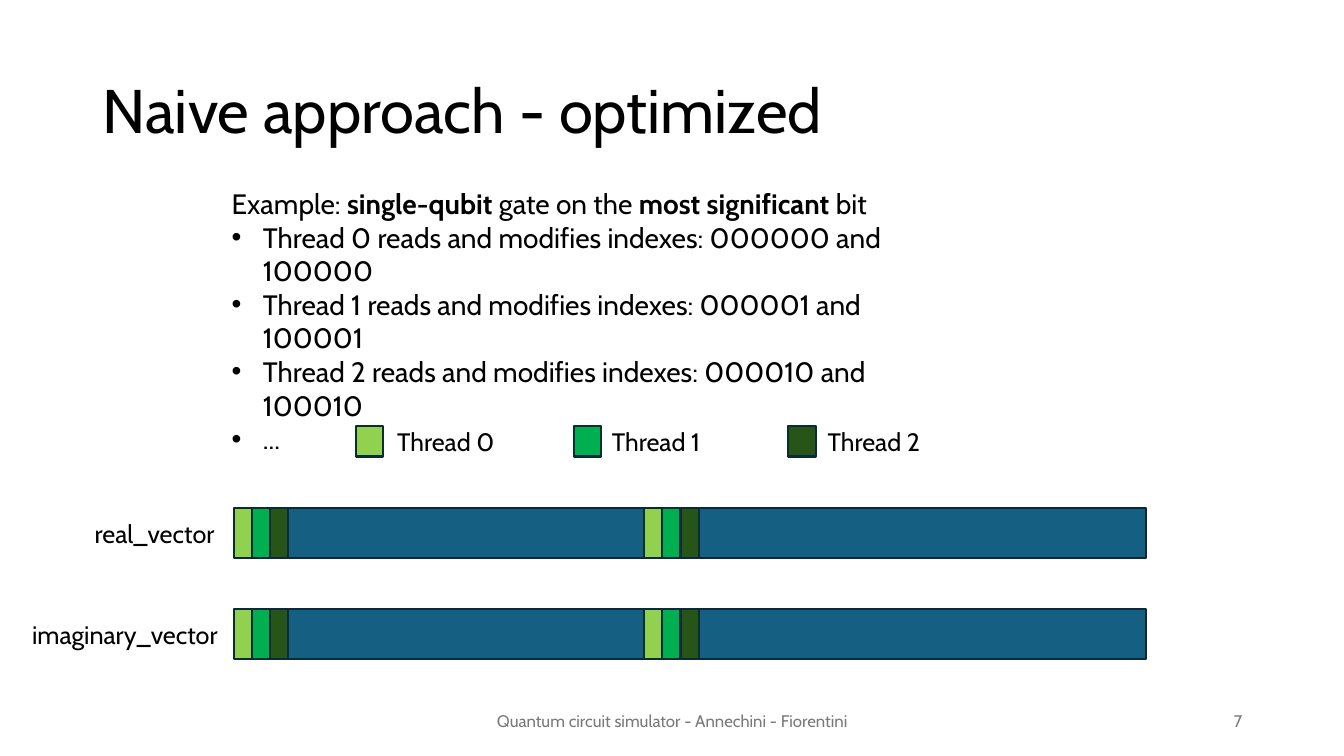
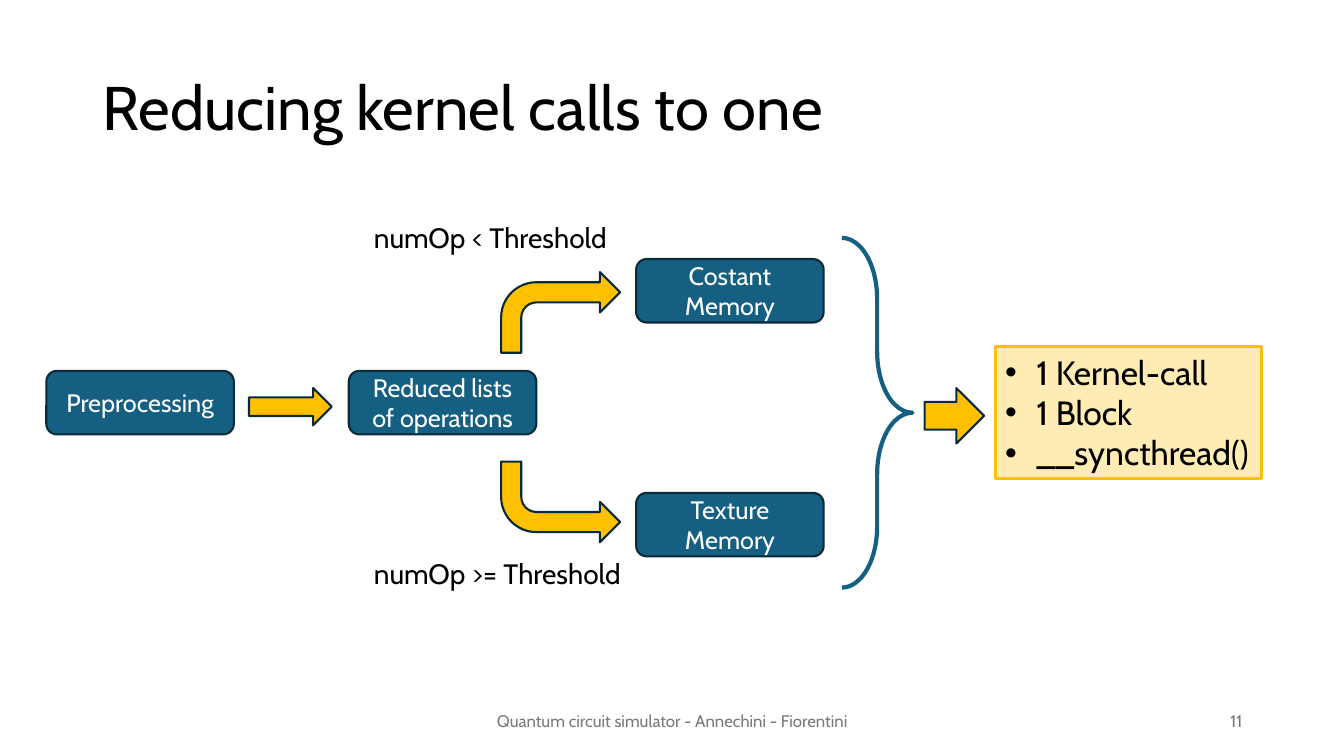
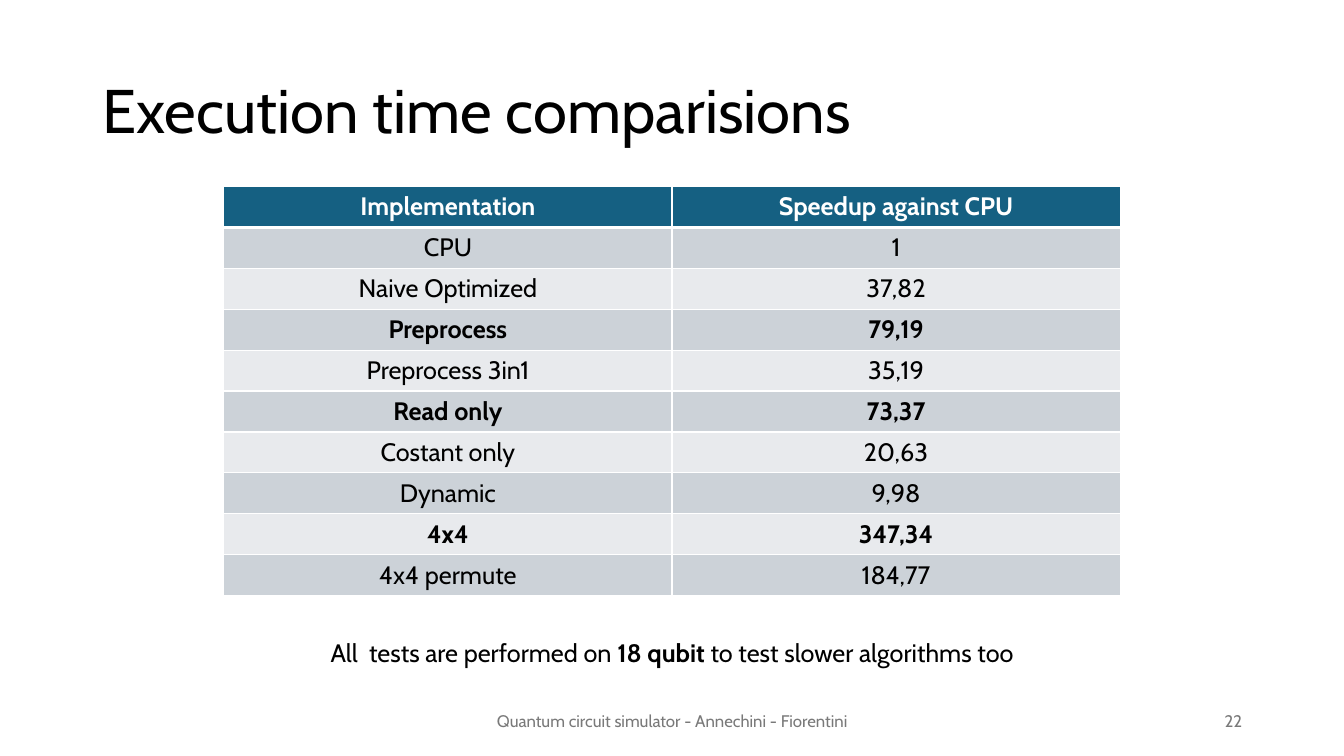
from lxml.etree import SubElement
from pptx import Presentation
from pptx.dml.color import RGBColor
from pptx.enum.shapes import MSO_SHAPE as Preset
from pptx.enum.text import MSO_ANCHOR as Anchor, MSO_AUTO_SIZE as AutoSize, PP_ALIGN as Align
from pptx.oxml import parse_xml
from pptx.oxml.ns import nsdecls, qn
from pptx.util import Inches, Pt

FONT = "Cabin"
FOOTER = "Quantum circuit simulator - Annechini - Fiorentini"
COLORS = {
    "black": "000000",
    "white": "FFFFFF",
    "gray": "797979",
    "blue": "156082",
    "outline": "092A39",
    "gold": "FFC000",
    "thread0": "92D050",
    "thread1": "00B050",
    "thread2": "275417",
    "odd_row": "CCD2D8",
    "even_row": "E8EAED",
}
THREADS = ["thread0", "thread1", "thread2"]
SPEEDUPS = [
    ("Implementation", "Speedup against CPU"),
    ("CPU", "1"),
    ("Naive Optimized", "37,82"),
    ("Preprocess", "79,19"),
    ("Preprocess 3in1", "35,19"),
    ("Read only", "73,37"),
    ("Costant only", "20,63"),
    ("Dynamic", "9,98"),
    ("4x4", "347,34"),
    ("4x4 permute", "184,77"),
]
HIGHLIGHTS = {"Implementation", "Preprocess", "Read only", "4x4"}


def rgb(color):
    return RGBColor.from_string(COLORS[color])


def add_bullet(paragraph):
    props = paragraph._p.get_or_add_pPr()
    props.set("marL", str(Inches(0.31)))
    props.set("indent", str(Inches(-0.31)))
    SubElement(props, qn("a:buFont")).set("typeface", "Arial")
    SubElement(props, qn("a:buChar")).set("char", "•")


def write(frame, lines, size, color="black", align=Align.LEFT, bold=False, bullets_from=None):
    for index, line in enumerate(lines):
        paragraph = frame.add_paragraph() if index else frame.paragraphs[0]
        paragraph.alignment = align
        if bullets_from is not None and index >= bullets_from:
            add_bullet(paragraph)
        font = paragraph.font
        font.name, font.size, font.bold = FONT, Pt(size), bold
        font.color.rgb = rgb(color)
        for position, part in enumerate(line.split("*")):
            run = paragraph.add_run()
            run.text = part
            if position % 2:
                run.font.bold = True


def add_text(slide, box, lines, size, anchor=Anchor.TOP, **style):
    frame = slide.shapes.add_textbox(*map(Inches, box)).text_frame
    frame.word_wrap = True
    frame.vertical_anchor = anchor
    write(frame, lines, size, **style)
    return frame


def add_block(slide, preset, box, fill, line="outline", width=1.5):
    block = slide.shapes.add_shape(preset, *map(Inches, box))
    block.shadow.inherit = False
    if fill:
        block.fill.solid()
        block.fill.fore_color.rgb = rgb(fill)
    else:
        block.fill.background()
    block.line.color.rgb = rgb(line)
    block.line.width = Pt(width)
    return block


def add_step(slide, left, top, label):
    step = add_block(slide, Preset.ROUNDED_RECTANGLE, (left, top, 1.86, 0.63), "blue")
    step.text_frame.word_wrap = True
    step.text_frame.vertical_anchor = Anchor.MIDDLE
    write(step.text_frame, [label], 18, color="white", align=Align.CENTER)


def add_vector(slide, top, label, label_left, label_width):
    add_text(slide, (label_left, top + 0.05, label_width, 0.4), [label], 18)
    add_block(slide, Preset.RECTANGLE, (2.86, top, 8.51, 0.5), "blue")
    for half_left in (2.32, 6.39):
        for index, thread in enumerate(THREADS):
            cell = (half_left + 0.18 * index, top, 0.18, 0.5)
            add_block(slide, Preset.RECTANGLE, cell, thread)


def set_borders(cell, top, bottom):
    props = cell._tc.get_or_add_tcPr()
    for index, (side, width) in enumerate(zip("LRTB", (1, 1, top, bottom))):
        border = parse_xml(
            f'<a:ln{side} {nsdecls("a")} w="{Pt(width)}"><a:solidFill>'
            f'<a:srgbClr val="{COLORS["white"]}"/></a:solidFill></a:ln{side}>'
        )
        props.insert(index, border)


def add_speedup_table(slide):
    box = map(Inches, (2.22, 1.85, 8.89, 4.06))
    table = slide.shapes.add_table(len(SPEEDUPS), 2, *box).table
    for row, entries in enumerate(SPEEDUPS):
        fill = "blue" if row == 0 else "odd_row" if row % 2 else "even_row"
        for column, entry in enumerate(entries):
            cell = table.cell(row, column)
            cell.fill.solid()
            cell.fill.fore_color.rgb = rgb(fill)
            set_borders(cell, 3 if row == 1 else 1, 3 if row == 0 else 1)
            write(cell.text_frame, [entry], 18, color="black" if row else "white",
                  align=Align.CENTER, bold=entries[0] in HIGHLIGHTS)


def new_slide(deck, title, number, title_top=0.4):
    slide = deck.slides.add_slide(deck.slide_layouts[6])
    heading = add_text(slide, (0.92, title_top, 11.5, 1.45), [title], 44, Anchor.MIDDLE)
    heading.paragraphs[0].line_spacing = 0.9
    add_text(slide, (4.42, 6.95, 4.5, 0.4), [FOOTER], 12, Anchor.MIDDLE,
             color="gray", align=Align.CENTER)
    add_text(slide, (9.42, 6.95, 3, 0.4), [str(number)], 12, Anchor.MIDDLE,
             color="gray", align=Align.RIGHT)
    return slide


def build_naive_approach(deck):
    slide = new_slide(deck, "Naive approach - optimized", 7)
    example = ["Example: *single-qubit* gate on the *most significant* bit"]
    for thread, index in enumerate(("00000", "00001", "00010")):
        example.append(f"Thread {thread} reads and modifies indexes: 0{index} and 1{index}")
    example.append("...")
    add_text(slide, (2.2, 1.8, 7.46, 1.78), example, 20, bullets_from=1)
    legend = zip(THREADS, (3.53, 5.69, 7.82), (3.84, 5.97, 8.11))
    for index, (thread, swatch_left, label_left) in enumerate(legend):
        add_block(slide, Preset.RECTANGLE, (swatch_left, 4.23, 0.27, 0.3), thread)
        add_text(slide, (label_left, 4.18, 1.18, 0.4), [f"Thread {index}"], 18)
    add_vector(slide, 5.04, "real_vector", 0.84, 1.48)
    add_vector(slide, 6.04, "imaginary_vector", 0.22, 2.09)


def build_kernel_calls(deck):
    slide = new_slide(deck, "Reducing kernel calls to one", 11, title_top=0.37)
    add_step(slide, 0.46, 3.68, "Preprocessing")
    add_step(slide, 3.46, 3.68, "Reduced lists of operations")
    add_step(slide, 6.31, 2.57, "Costant Memory")
    add_step(slide, 6.31, 4.89, "Texture Memory")

    add_block(slide, Preset.RIGHT_ARROW, (2.47, 3.85, 0.82, 0.37), "gold")
    add_block(slide, Preset.RIGHT_ARROW, (9.17, 3.85, 0.59, 0.55), "gold")
    add_block(slide, Preset.BENT_ARROW, (4.97, 2.7, 1.18, 0.8), "gold")
    texture_arrow = add_block(slide, Preset.BENT_ARROW, (4.97, 4.58, 1.18, 0.8), "gold")
    texture_arrow._element.spPr.xfrm.set("flipV", "1")

    add_text(slide, (3.61, 2.14, 2.73, 0.44), ["numOp < Threshold"], 20)
    add_text(slide, (3.61, 5.47, 2.73, 0.44), ["numOp >= Threshold"], 20)

    brace = add_block(slide, Preset.RIGHT_BRACE, (8.35, 2.36, 0.7, 3.47), None, "blue", 3)
    brace.adjustments[0] = 0.865

    outcome = add_block(slide, Preset.RECTANGLE, (9.87, 3.44, 2.64, 1.31), "gold", "gold", 2.25)
    tint = outcome._element.spPr.find(qn("a:solidFill")).find(qn("a:srgbClr"))
    SubElement(tint, qn("a:alpha")).set("val", "29000")
    frame = outcome.text_frame
    frame.word_wrap = False
    frame.auto_size = AutoSize.SHAPE_TO_FIT_TEXT
    frame.vertical_anchor = Anchor.TOP
    write(frame, ["1 Kernel-call", "1 Block", "__syncthread()"], 24, bullets_from=0)


def build_execution_times(deck):
    slide = new_slide(deck, "Execution time comparisions", 22)
    add_speedup_table(slide)
    add_text(slide, (2.22, 6.27, 8.89, 0.4),
             ["All  tests are performed on *18 qubit* to test slower algorithms too"],
             18, align=Align.CENTER)


def main():
    deck = Presentation()
    deck.slide_width, deck.slide_height = Inches(13.33), Inches(7.5)
    build_naive_approach(deck)
    build_kernel_calls(deck)
    build_execution_times(deck)
    deck.save("out.pptx")


if __name__ == "__main__":
    main()
